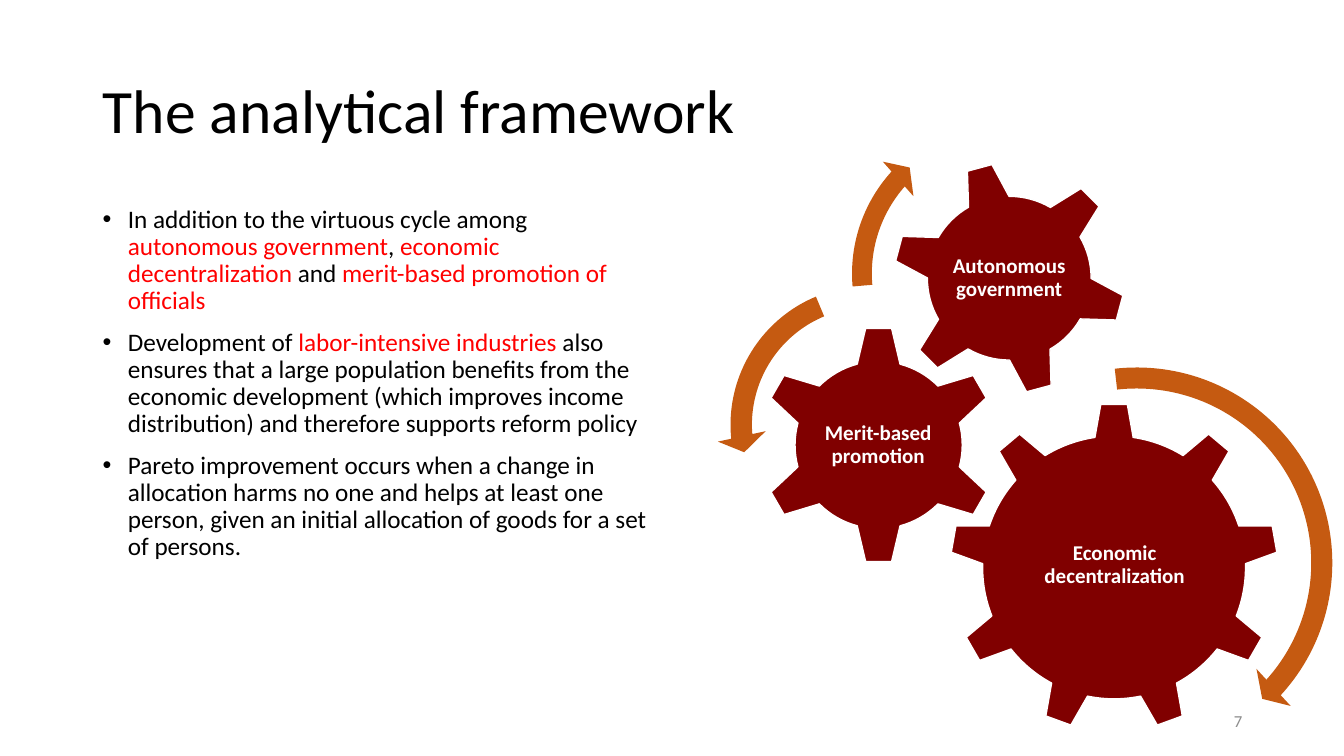
from lxml.etree import SubElement
from pptx import Presentation
from pptx.dml.color import RGBColor
from pptx.enum.shapes import MSO_SHAPE as Preset
from pptx.enum.text import MSO_ANCHOR as Anchor, PP_ALIGN as Align
from pptx.oxml.ns import qn
from pptx.util import Inches, Pt

BLACK = RGBColor(0x00, 0x00, 0x00)
WHITE = RGBColor(0xFF, 0xFF, 0xFF)
RED = RGBColor(0xFF, 0x00, 0x00)
MAROON = RGBColor(0x80, 0x00, 0x00)
ORANGE = RGBColor(0xC5, 0x5A, 0x11)
GRAY = RGBColor(0x8C, 0x8C, 0x8C)

# Preset, box, rotation, label, label box
GEARS = [
    (Preset.GEAR_9, (9.42, 4, 3.26, 3.26), 0,
     "Economic decentralization", (10.08, 4.77, 1.95, 1.68)),
    (Preset.GEAR_6, (7.53, 3.23, 2.37, 2.37), 0,
     "Merit-based promotion", (8.12, 3.83, 1.18, 1.17)),
    (Preset.GEAR_6, (8.85, 1.6, 2.32, 2.32), 345,
     "Autonomous government", (9.36, 2.11, 1.3, 1.3)),
]

# Preset, left, top, size, adjustments
ARROWS = [
    (Preset.CIRCULAR_ARROW, 9.19, 3.5, 4.17, (0.05, 2.99, 25.39, 158.12, 0.06)),
    (Preset.LEFT_CIRCULAR_ARROW, 7.11, 2.7, 3.03, (0.07, 4.3, 104.89, 148.38, 0.08)),
    (Preset.CIRCULAR_ARROW, 8.32, 1.08, 3.27, (0.06, 3.94, 133.14, 105.08, 0.07)),
]

BULLETS = [
    [("In addition to the virtuous cycle among ", BLACK),
     ("autonomous government", RED), (", ", BLACK),
     ("economic decentralization", RED), (" and ", BLACK),
     ("merit-based promotion of officials", RED)],
    [("Development of ", BLACK), ("labor-intensive industries", RED),
     (" also ensures that a large population benefits from the economic "
      "development (which improves income distribution) and therefore "
      "supports reform policy", BLACK)],
    [("Pareto improvement occurs when a change in allocation harms no one and "
      "helps at least one person, given an initial allocation of goods for a "
      "set of persons.", BLACK)],
]


def add_run(paragraph, text, size, color, bold=False):
    run = paragraph.add_run()
    run.text = text
    run.font.color.rgb = color
    for name, value in {"name": "Calibri", "size": Pt(size), "bold": bold}.items():
        setattr(run.font, name, value)


def add_text_frame(box, anchor, margin=None):
    """Add a wrapping text box and return its text frame."""
    frame = slide.shapes.add_textbox(*map(Inches, box)).text_frame
    frame.word_wrap = True
    frame.vertical_anchor = anchor
    if margin is not None:
        for side in ("left", "top", "right", "bottom"):
            setattr(frame, f"margin_{side}", Inches(margin))
    return frame


presentation = Presentation()
presentation.slide_width = Inches(13.33)
presentation.slide_height = Inches(7.5)
slide = presentation.slides.add_slide(presentation.slide_layouts[5])

title = slide.shapes.title
for name, value in {"left": 0.92, "top": 0.4, "width": 11.5, "height": 1.45}.items():
    setattr(title, name, Inches(value))
title.text_frame.vertical_anchor = Anchor.MIDDLE
paragraph = title.text_frame.paragraphs[0]
paragraph.alignment = Align.LEFT
paragraph.line_spacing = 0.9
add_run(paragraph, "The analytical framework", 44, BLACK)

for preset, box, rotation, label, label_box in GEARS:
    gear = slide.shapes.add_shape(preset, *map(Inches, box))
    gear.rotation = rotation
    gear.shadow.inherit = False
    gear.fill.solid()
    gear.fill.fore_color.rgb = MAROON
    gear.line.color.rgb = WHITE
    gear.line.width = Pt(1)
    paragraph = add_text_frame(label_box, Anchor.MIDDLE, 0.02).paragraphs[0]
    paragraph.alignment = Align.CENTER
    paragraph.line_spacing = 0.9
    add_run(paragraph, label, 15, WHITE, bold=True)

for preset, left, top, size, adjustments in ARROWS:
    arrow = slide.shapes.add_shape(preset, *map(Inches, (left, top, size, size)))
    for index, value in enumerate(adjustments):
        arrow.adjustments[index] = value
    arrow.shadow.inherit = False
    arrow.fill.solid()
    arrow.fill.fore_color.rgb = ORANGE
    arrow.line.fill.background()

body = add_text_frame((0.92, 2, 5.67, 4.76), Anchor.TOP)
for index, parts in enumerate(BULLETS):
    paragraph = body.add_paragraph() if index else body.paragraphs[0]
    paragraph.line_spacing = 0.9
    paragraph.space_before = Pt(10)
    properties = paragraph._p.get_or_add_pPr()
    properties.set("marL", str(Inches(0.25)))
    properties.set("indent", str(Inches(-0.25)))
    SubElement(properties, qn("a:buFont"), typeface="Arial")
    SubElement(properties, qn("a:buChar"), char="•")
    for text, color in parts:
        add_run(paragraph, text, 18, color)

paragraph = add_text_frame((9.42, 6.95, 3, 0.4), Anchor.MIDDLE).paragraphs[0]
paragraph.alignment = Align.RIGHT
add_run(paragraph, "7", 12, GRAY)

presentation.save("out.pptx")
